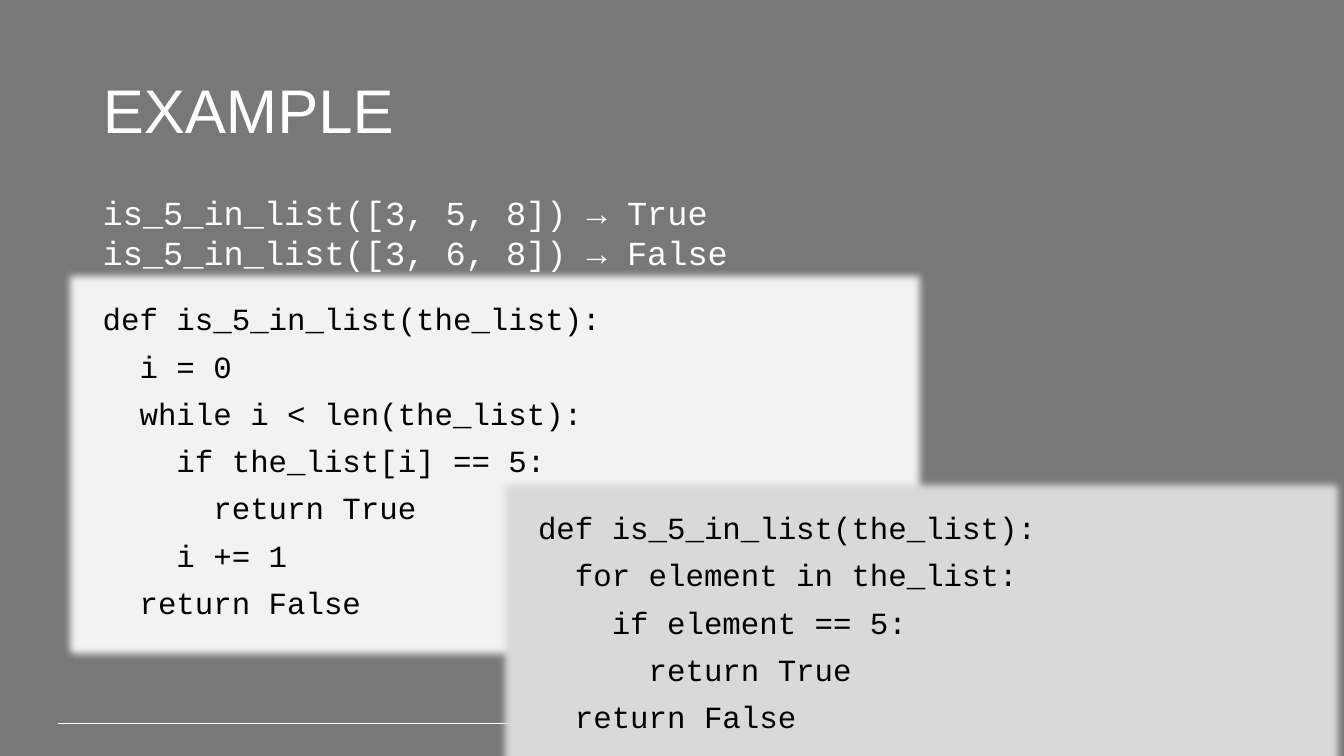
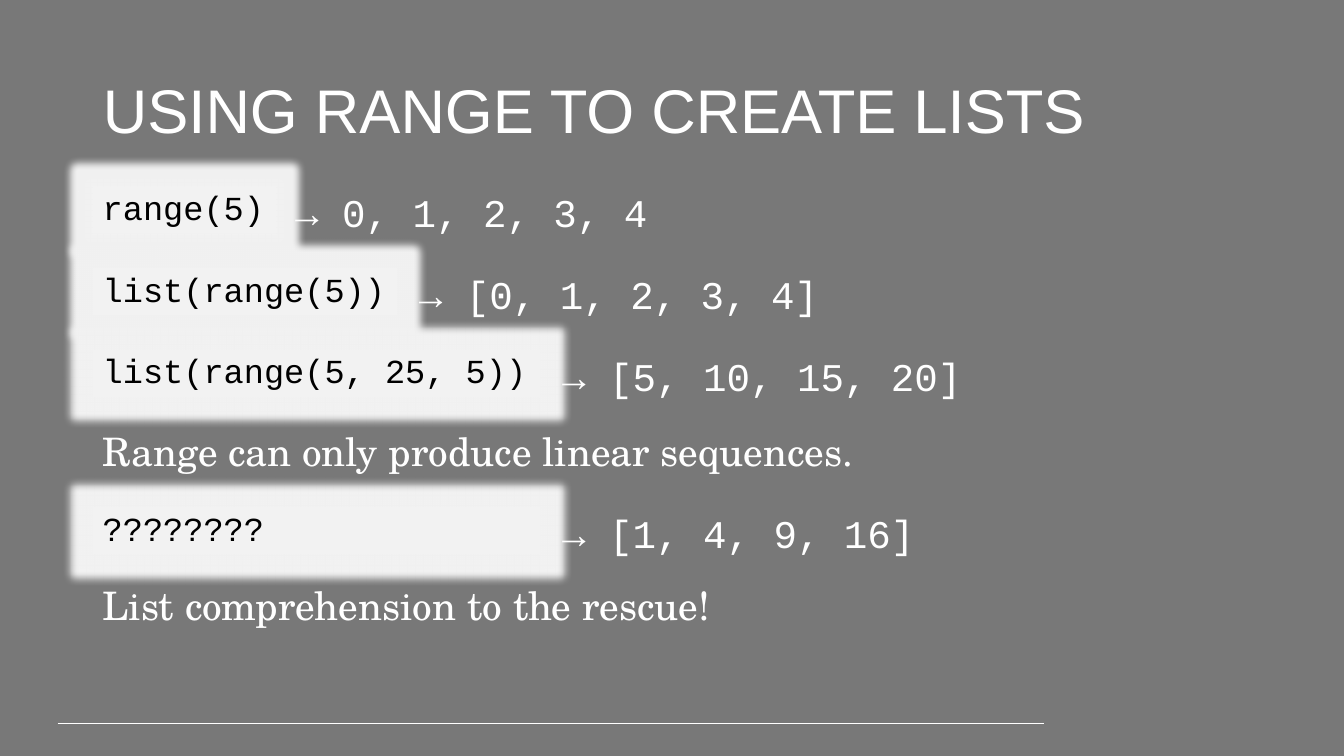
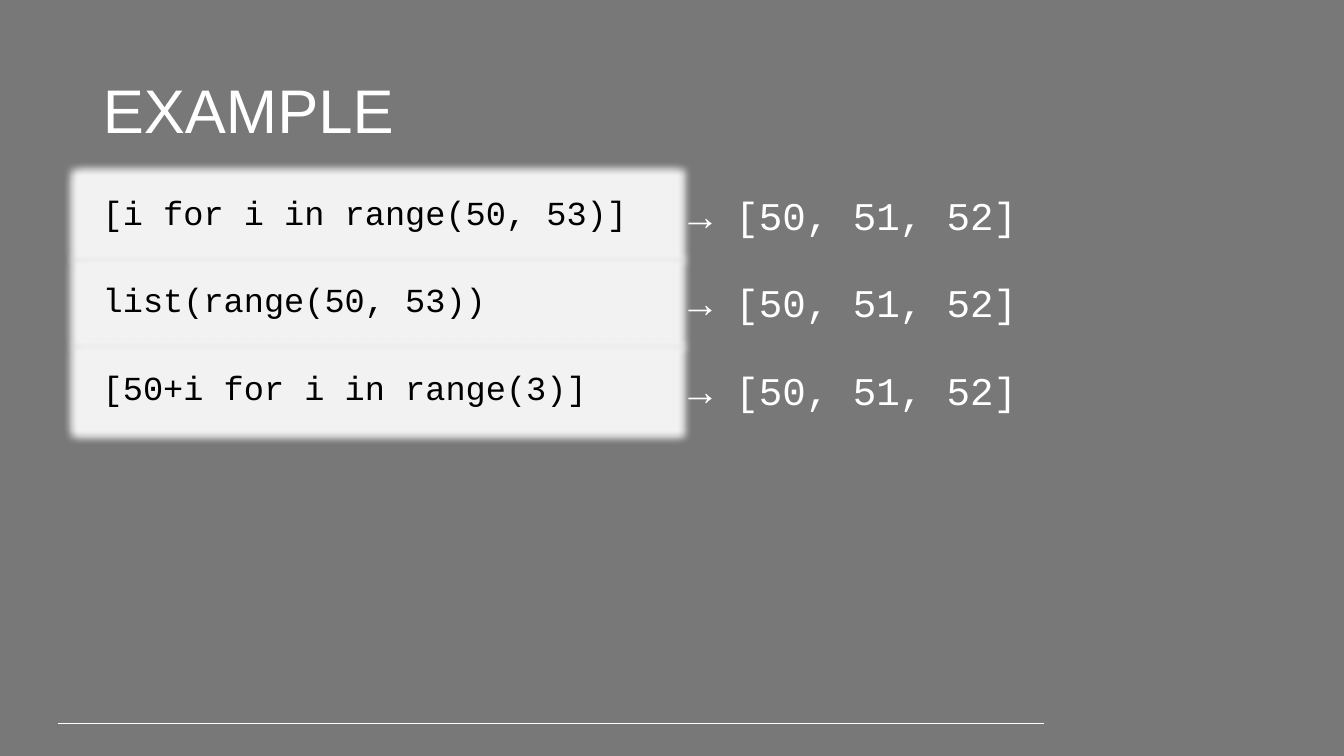
from dataclasses import dataclass

from lxml import etree
from pptx import Presentation
from pptx.dml.color import RGBColor
from pptx.enum.shapes import MSO_CONNECTOR, MSO_SHAPE
from pptx.enum.text import MSO_ANCHOR, MSO_AUTO_SIZE, PP_ALIGN
from pptx.oxml.ns import qn
from pptx.util import Cm, Pt

RECTANGLE = MSO_SHAPE.RECTANGLE
STRAIGHT = MSO_CONNECTOR.STRAIGHT
TOP, MIDDLE = MSO_ANCHOR.TOP, MSO_ANCHOR.MIDDLE
FIT_SHAPE, NO_FIT = MSO_AUTO_SIZE.SHAPE_TO_FIT_TEXT, MSO_AUTO_SIZE.NONE
LEFT = PP_ALIGN.LEFT
TITLE_ONLY, TITLE_AND_BODY = 5, 1


@dataclass(frozen=True)
class Theme:
    background: str = "787878"
    light: str = "FFFFFF"
    ink: str = "000000"
    panel: str = "F2F2F2"
    panel_alt: str = "D9D9D9"
    title_font: str = "Arial"
    code_font: str = "Courier New"
    body_font: str = "TeX Gyre Schola"
    title_size: int = 44
    body_size: int = 28
    result_size: int = 28
    code_size: int = 24
    listing_size: int = 22
    rule_width: float = 0.75
    glow: int = 11
    tight: float = 0.9
    paragraph_gap: int = 10


THEME = Theme()

# Shared layout, in centimetres
MARGIN = 2.34
CONTENT_TOP = 4.7
CONTENT_WIDTH = 29.21
CODE_HEIGHT = 1.19
RESULT_WIDTH, RESULT_HEIGHT = 11.1, 1.45


def colour(value):
    return RGBColor.from_string(value)


def place(shape, left, top, width, height):
    shape.left, shape.top = Cm(left), Cm(top)
    shape.width, shape.height = Cm(width), Cm(height)


def write(shape, text, font, size, ink, spacing=None, gap=0, anchor=TOP, fit=FIT_SHAPE):
    """Fill a shape with one paragraph per line of text."""
    frame = shape.text_frame
    frame.text = text
    frame.word_wrap = True
    frame.auto_size = fit
    frame.vertical_anchor = anchor
    for index, paragraph in enumerate(frame.paragraphs):
        paragraph.alignment = LEFT
        paragraph.line_spacing = spacing
        paragraph.space_before = Pt(gap if index else 0)
        for run in paragraph.runs:
            run.font.name = font
            run.font.size = Pt(size)
            run.font.color.rgb = colour(ink)


def remove_bullets(shape):
    for paragraph in shape.text_frame.paragraphs:
        properties = paragraph._p.get_or_add_pPr()
        properties.set("marL", "0")
        properties.set("indent", "0")
        etree.SubElement(properties, qn("a:buNone"))


def add_text(slide, box, text, font, size, spacing=None):
    left, top, width, height = box
    label = slide.shapes.add_textbox(Cm(left), Cm(top), Cm(width), Cm(height))
    write(label, text, font, size, THEME.light, spacing)


def add_code_panel(slide, box, code, size, fill=THEME.panel):
    """A code block whose fill spreads outwards as a glow."""
    left, top, width, height = box
    panel = slide.shapes.add_shape(RECTANGLE, Cm(left), Cm(top), Cm(width), Cm(height))
    panel.fill.solid()
    panel.fill.fore_color.rgb = colour(fill)
    panel.line.fill.background()
    panel.shadow.inherit = False
    effects = panel.element.spPr.find(qn("a:effectLst"))
    glow = etree.SubElement(effects, qn("a:glow"), rad=str(Pt(THEME.glow)))
    etree.SubElement(glow, qn("a:srgbClr"), val=fill)
    write(panel, code, THEME.code_font, size, THEME.ink, THEME.tight, THEME.paragraph_gap)


def add_code_row(slide, top, width, code, result, gap, rise):
    """A code panel followed by the value it produces."""
    add_code_panel(slide, (MARGIN, top, width, CODE_HEIGHT), code, THEME.code_size)
    result_box = (MARGIN + width + gap, top - rise, RESULT_WIDTH, RESULT_HEIGHT)
    add_text(slide, result_box, result, THEME.code_font, THEME.result_size)


def add_slide(deck, layout, title):
    slide = deck.slides.add_slide(deck.slide_layouts[layout])
    # Footer rule
    rule = slide.shapes.add_connector(STRAIGHT, Cm(1.45), Cm(18.24), Cm(26.31), Cm(18.24))
    rule.line.color.rgb = colour(THEME.light)
    rule.line.width = Pt(THEME.rule_width)
    etree.SubElement(rule.element.spPr, qn("a:effectLst"))
    # Title
    heading = slide.shapes.title
    place(heading, MARGIN, 1.02, CONTENT_WIDTH, 3.68)
    write(heading, title, THEME.title_font, THEME.title_size, THEME.light,
          THEME.tight, anchor=MIDDLE, fit=NO_FIT)
    return slide


def build_search_example(deck):
    slide = add_slide(deck, TITLE_ONLY, "EXAMPLE")
    # While-loop version
    while_code = """def is_5_in_list(the_list):
  i = 0
  while i < len(the_list):
    if the_list[i] == 5:
      return True
    i += 1
  return False"""
    add_code_panel(slide, (MARGIN, 7.54, 20.27, 8.33), while_code, THEME.listing_size)
    # Expected results
    calls = "is_5_in_list([3, 5, 8]) → True\nis_5_in_list([3, 6, 8]) → False"
    add_text(slide, (MARGIN, CONTENT_TOP, 23.7, 2.31), calls, THEME.code_font, THEME.code_size)
    # For-loop version
    for_code = """def is_5_in_list(the_list):
  for element in the_list:
    if element == 5:
      return True
  return False"""
    add_code_panel(slide, (13.31, 12.8, 19.81, 5.94), for_code,
                   THEME.listing_size, THEME.panel_alt)


def build_range_lists(deck):
    slide = add_slide(deck, TITLE_AND_BODY, "USING RANGE TO CREATE LISTS")
    gap, rise, step = 0.3, 0.07, 2.06
    wide = 11.28
    # Range calls
    rows = [
        (4.62, "range(5)", "→ 0, 1, 2, 3, 4", 0.23),
        (7.67, "list(range(5))", "→ [0, 1, 2, 3, 4]", gap),
        (wide, "list(range(5, 25, 5))", "→ [5, 10, 15, 20]", gap),
    ]
    for index, (width, code, result, row_gap) in enumerate(rows):
        add_code_row(slide, CONTENT_TOP + index * step, width, code, result, row_gap, rise)
    # Limitation
    limitation = slide.placeholders[1]
    place(limitation, MARGIN, 10.77, CONTENT_WIDTH, 1.35)
    write(limitation, "Range can only produce linear sequences.",
          THEME.body_font, THEME.body_size, THEME.light, THEME.tight)
    remove_bullets(limitation)
    # Open question and answer
    add_code_row(slide, 12.78, wide, "????????", "→ [1, 4, 9, 16]", gap, rise)
    add_text(slide, (MARGIN, 14.66, CONTENT_WIDTH, 1.35), "List comprehension to the rescue!",
             THEME.body_font, THEME.body_size, THEME.tight)


def build_comprehension_example(deck):
    slide = add_slide(deck, TITLE_ONLY, "EXAMPLE")
    expressions = [
        "[i for i in range(50, 53)]",
        "list(range(50, 53))",
        "[50+i for i in range(3)]",
    ]
    for index, code in enumerate(expressions):
        add_code_row(slide, 4.83 + index * 2.2, 14.3, code, "→ [50, 51, 52]", 0.46, 0.13)


def main():
    deck = Presentation()
    deck.slide_width, deck.slide_height = Cm(33.87), Cm(19.05)
    backdrop = deck.slide_master.background.fill
    backdrop.solid()
    backdrop.fore_color.rgb = colour(THEME.background)
    build_search_example(deck)
    build_range_lists(deck)
    build_comprehension_example(deck)
    deck.save("out.pptx")


if __name__ == "__main__":
    main()
